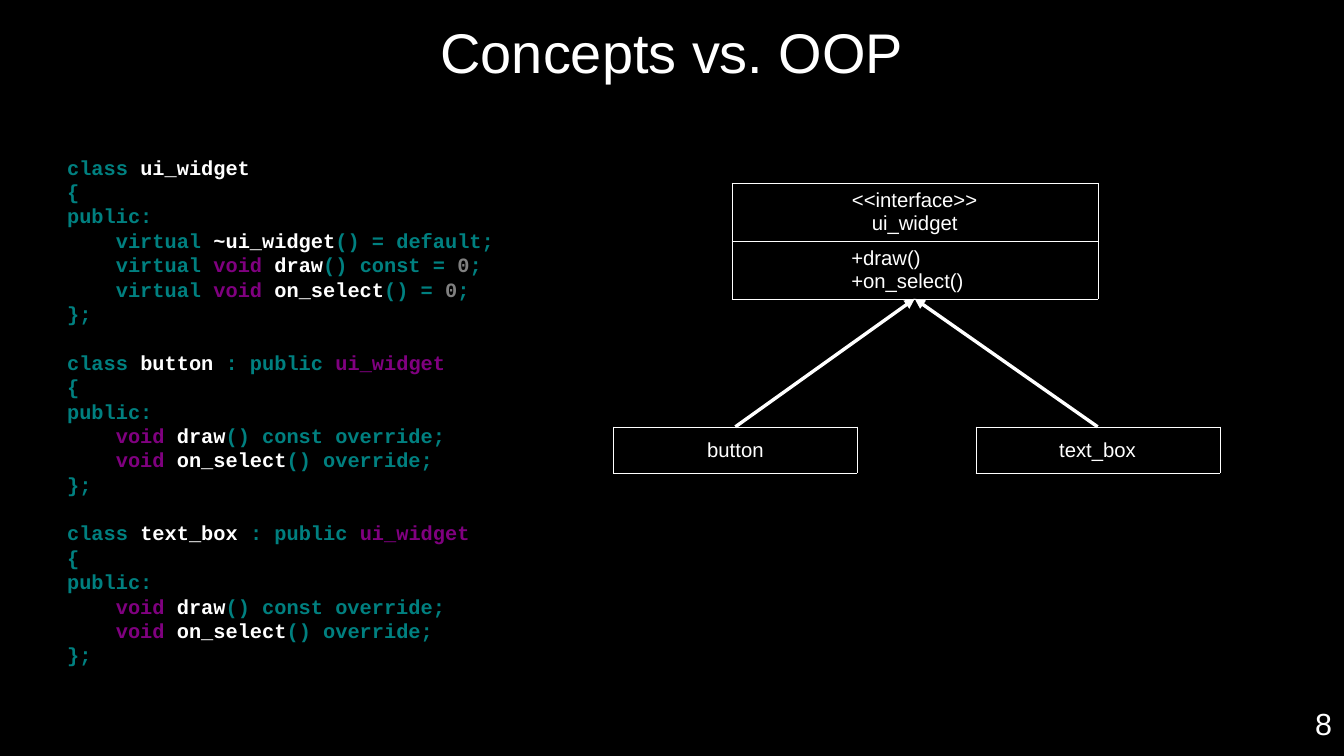
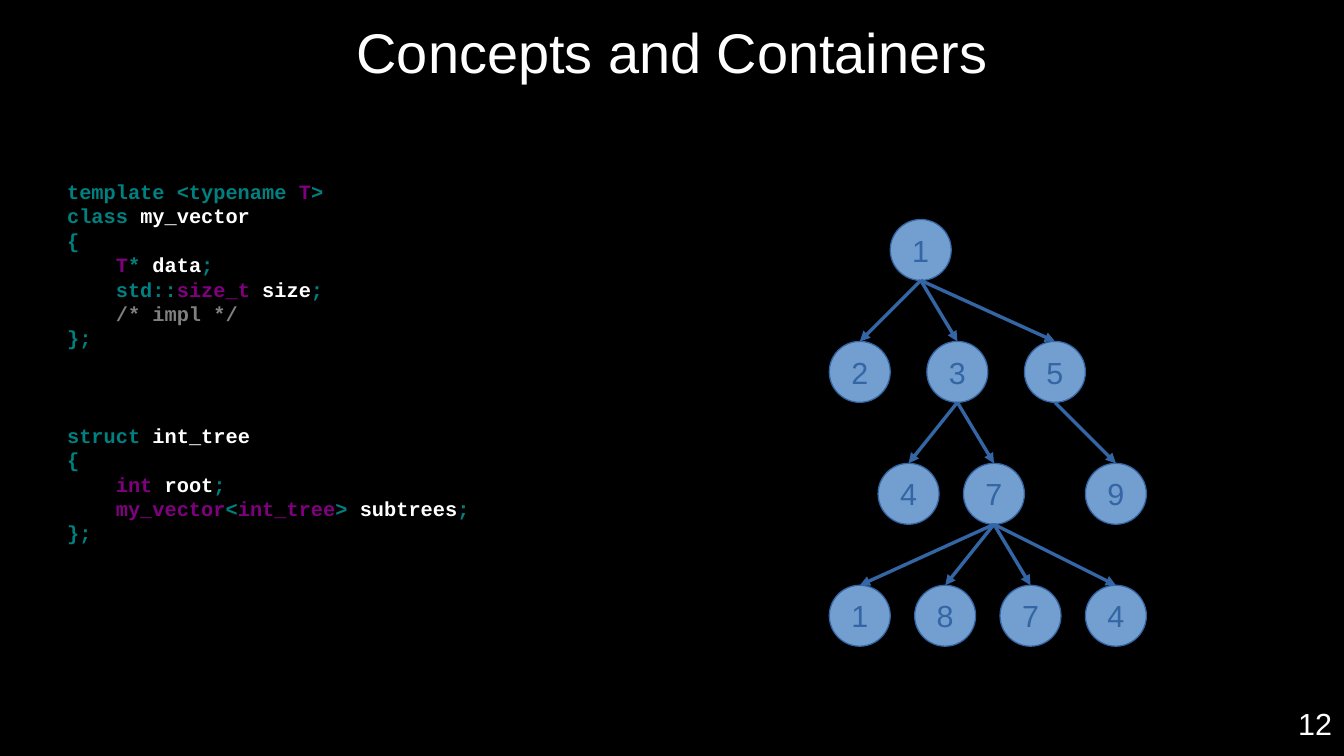
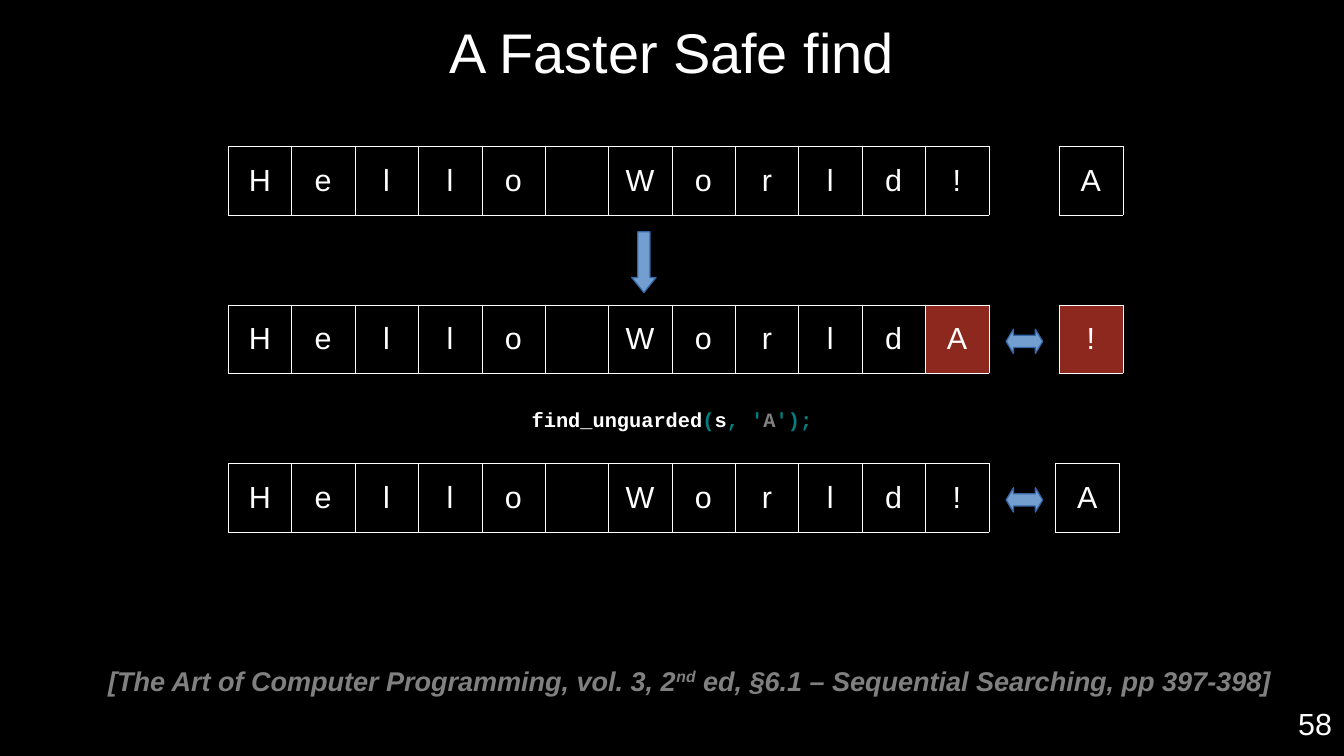
from pptx import Presentation
from pptx.dml.color import RGBColor
from pptx.enum.shapes import MSO_CONNECTOR, MSO_SHAPE
from pptx.enum.text import MSO_ANCHOR, MSO_AUTO_SIZE, PP_ALIGN
from pptx.oxml import parse_xml
from pptx.oxml.ns import nsdecls
from pptx.oxml.xmlchemy import OxmlElement
from pptx.util import Inches, Pt

COLORS = {
    "black": "000000", "white": "FFFFFF", "keyword": "008080", "type": "800080",
    "grey": "808080", "red": "8D281E", "blue": "729FCF", "navy": "3465A4",
}
GRID = Inches(0.1)
COLUMNS, ROWS = 110.2, 62
SANS = {"name": "Arial", "size": Pt(18)}
SMALL = {**SANS, "size": Pt(12)}
HEADING = {**SANS, "size": Pt(33)}
CITATION = {**SANS, "size": Pt(16), "bold": True, "italic": True}
MONO = {"name": "Courier New", "size": Pt(12), "bold": True}
CODE_LINE = 14.4
# Each mark switches its colour on and off inside a line of code.
CODE_MARKS = {"@": "white", "$": "type", "#": "grey"}

WIDGET_CODE = [
    """class @ui_widget@
{
public:
    virtual @~ui_widget@() = default;
    virtual $void $@draw@() const = #0#;
    virtual $void $@on_select@() = #0#;
};"""
] + [
    f"""class @{name}@ : public $ui_widget$
{{
public:
    $void $@draw@() const override;
    $void $@on_select@() override;
}};""" for name in ("button", "text_box")
]
CONTAINER_CODE = [
    """template <typename $T$>
class @my_vector@
{
    $T$* @data@;
    std::$size_t $@size@;
    #/* impl */#
};""",
    """struct @int_tree@
{
    $int $@root@;
    $my_vector$<$int_tree$> @subtrees@;
};""",
]
# Each node: label, column, children.
TREE = ("1", 73, [
    ("2", 68, []),
    ("3", 76, [
        ("4", 72, []),
        ("7", 79, [("1", 68, []), ("8", 75, []), ("7", 82, []), ("4", 89, [])]),
    ]),
    ("5", 84, [("9", 89, [])]),
])
NODE_SIZE, LEVEL_STEP, TREE_TOP = 5, 10, 18


def rgb(color):
    return RGBColor.from_string(COLORS[color])


def cells(*counts):
    """Turn counts of grid cells into lengths."""
    return [round(count * GRID) for count in counts]


def add_span(para, text, color, style):
    span = para.add_run()
    span.text = text
    for key, value in style.items():
        setattr(span.font, key, value)
    span.font.color.rgb = rgb(color)
    return span


def add_code_line(para, line):
    color, text = "keyword", ""
    for char in line:
        if char not in CODE_MARKS:
            text += char
            continue
        if text:
            add_span(para, text, color, MONO)
        color = "keyword" if color == CODE_MARKS[char] else CODE_MARKS[char]
        text = ""
    if text:
        add_span(para, text, color, MONO)


def set_frame(frame, anchor=MSO_ANCHOR.TOP, margin_x=0.1, margin_y=0.05):
    settings = {
        "word_wrap": True, "auto_size": MSO_AUTO_SIZE.NONE, "vertical_anchor": anchor,
        "margin_left": Inches(margin_x), "margin_right": Inches(margin_x),
        "margin_top": Inches(margin_y), "margin_bottom": Inches(margin_y),
    }
    for key, value in settings.items():
        setattr(frame, key, value)


def move(shape, *place):
    for key, value in zip(("left", "top", "width", "height"), cells(*place)):
        setattr(shape, key, value)


def add_text_box(page, place, align, **frame_settings):
    """Add a text box and return its first paragraph."""
    frame = page.shapes.add_textbox(*cells(*place)).text_frame
    set_frame(frame, **frame_settings)
    para = frame.paragraphs[0]
    para.alignment = align
    return para


def add_page(deck, layout, title, number):
    page = deck.slides.add_slide(deck.slide_layouts[layout])
    frame = page.shapes.title.text_frame
    set_frame(frame, MSO_ANCHOR.MIDDLE, 0, 0)
    frame.paragraphs[0].alignment = PP_ALIGN.CENTER
    add_span(frame.paragraphs[0], title, "white", HEADING)
    para = add_text_box(page, (68.3, 57.3, 41.9, 4.7), PP_ALIGN.RIGHT)
    add_span(para, str(number), "white", SANS)
    return page


def fill_code(page, top, blocks, gap_lines):
    """Write blocks of code in the body, with a gap between blocks."""
    body = page.placeholders[1]
    move(body, 5.5, top, 99.2, 55.3 - top)
    frame = body.text_frame
    set_frame(frame, margin_x=0, margin_y=0)
    lines = [(line, block and not row)
             for block, code in enumerate(blocks)
             for row, line in enumerate(code.split("\n"))]
    for index, (line, opens_block) in enumerate(lines):
        para = frame.add_paragraph() if index else frame.paragraphs[0]
        properties = para._p.get_or_add_pPr()
        properties.set("marL", "0")
        properties.set("indent", "0")
        properties.append(OxmlElement("a:buNone"))
        para.line_spacing = Pt(CODE_LINE)
        para.space_before = Pt(CODE_LINE * gap_lines if opens_block else 0)
        add_code_line(para, line)


def style_cell(cell, text, style, fill):
    cell.fill.solid()
    cell.fill.fore_color.rgb = rgb(fill)
    cell.vertical_anchor = MSO_ANCHOR.MIDDLE
    for index, side in enumerate("LRTB"):
        cell._tc.get_or_add_tcPr().insert(index, parse_xml(
            f'<a:ln{side} {nsdecls("a")} w="762"><a:solidFill>'
            f'<a:srgbClr val="{COLORS["white"]}"/></a:solidFill></a:ln{side}>'))
    for index, line in enumerate(text.split("\n")):
        frame = cell.text_frame
        para = frame.add_paragraph() if index else frame.paragraphs[0]
        para.alignment = PP_ALIGN.CENTER
        if line.strip():
            add_span(para, line, "white", style)


def add_boxes(page, place, rows, style, last_fill="black"):
    """Add a table of equal bordered cells; last_fill colours the last one."""
    holder = page.shapes.add_table(len(rows), len(rows[0]), *cells(*place))
    table = holder.table
    table.first_row = table.horz_banding = False
    texts = [text for row in rows for text in row]
    for index, (cell, text) in enumerate(zip(table.iter_cells(), texts)):
        fill = last_fill if index == len(texts) - 1 else "black"
        style_cell(cell, text, style, fill)
    return holder


def add_arrow(page, color, start=(0, 0), end=(0, 0)):
    arrow = page.shapes.add_connector(MSO_CONNECTOR.STRAIGHT, *start, *end)
    arrow.line.color.rgb = rgb(color)
    arrow.line.width = 0
    tip = OxmlElement("a:tailEnd")
    tip.set("type", "triangle")
    arrow.line._get_or_add_ln().append(tip)
    arrow._element.spPr.append(OxmlElement("a:effectLst"))
    return arrow


def add_blue_shape(page, kind, place, adjustments=()):
    shape = page.shapes.add_shape(kind, *cells(*place))
    shape.shadow.inherit = False
    shape.fill.solid()
    shape.fill.fore_color.rgb = rgb("blue")
    shape.line.color.rgb = rgb("navy")
    shape.line.width = 0
    for index, value in enumerate(adjustments):
        shape.adjustments[index] = value
    return shape


def add_tree(page, node, depth=0):
    """Draw a node, then its subtrees with arrows to them; return the node."""
    label, column, children = node
    circle = add_blue_shape(page, MSO_SHAPE.OVAL, (
        column, TREE_TOP + depth * LEVEL_STEP, NODE_SIZE, NODE_SIZE))
    set_frame(circle.text_frame, MSO_ANCHOR.MIDDLE)
    circle.text_frame.word_wrap = False
    para = circle.text_frame.paragraphs[0]
    para.alignment = PP_ALIGN.CENTER
    add_span(para, label, "navy", SANS)
    bottom = (circle.left + circle.width // 2, circle.top + circle.height)
    for child in children:
        target = add_tree(page, child, depth + 1)
        add_arrow(page, "navy", bottom, bottom).end_connect(target, 0)
    return circle


def build_oop(deck):
    page = add_page(deck, 1, "Concepts vs. OOP", 8)
    fill_code(page, 12.7, WIDGET_CODE, 1)
    interface = add_boxes(page, (60, 15, 30, 9.5), [
        ["<<interface>>\nui_widget"], ["+draw()\n+on_select()"]], SMALL)
    methods = interface.table.cell(1, 0)
    methods.margin_left = Inches(0.98)
    for para in methods.text_frame.paragraphs:
        para.alignment = PP_ALIGN.LEFT
    for name, left in (("button", 50.3), ("text_box", 80)):
        widget = add_boxes(page, (left, 35, 20, 3.8), [[name]], SMALL)
        arrow = add_arrow(page, "white")
        arrow.begin_connect(widget, 0)
        arrow.end_connect(interface, 2)


def build_containers(deck):
    page = add_page(deck, 1, "Concepts and Containers", 12)
    fill_code(page, 14.7, CONTAINER_CODE, 3)
    add_tree(page, TREE)


def build_find(deck):
    page = add_page(deck, 5, "A Faster Safe find", 58)
    steps = [("Hello World!", "A", 86.8, "black"),
             ("Hello WorldA", "!", 86.8, "red"),
             ("Hello World!", "A", 86.5, "black")]
    for index, (word, spare, spare_left, fill) in enumerate(steps):
        top = 12 + 13 * index
        add_boxes(page, (18.7, top, 62.4, 5.6), [list(word)], SANS, fill)
        add_boxes(page, (spare_left, top, 5.3, 5.6), [[spare]], SANS, fill)
        if index:
            add_blue_shape(page, MSO_SHAPE.LEFT_RIGHT_ARROW,
                           (82.5, top + 2, 3, 2), (0.5, 0.3))
    add_blue_shape(page, MSO_SHAPE.DOWN_ARROW, (51.8, 19, 2, 5), (0.5, 0.62))
    call = add_text_box(page, (42.6, 32.9, 25, 2.9), PP_ALIGN.CENTER, margin_x=0)
    add_code_line(call, "@find_unguarded@(@s@, '#A#');")
    source = add_text_box(page, (5, 54, 100.2, 5.9), PP_ALIGN.RIGHT)
    for text, baseline in (
            ("[The Art of Computer Programming, vol. 3, 2", 0), ("nd", 33000),
            (" ed, §6.1 – Sequential Searching, pp 397-398]", 0)):
        span = add_span(source, text, "grey", CITATION)
        span._r.get_or_add_rPr().set("baseline", str(baseline))


def main():
    deck = Presentation()
    deck.slide_width, deck.slide_height = cells(COLUMNS, ROWS)
    master = deck.slide_master
    master.background.fill.solid()
    master.background.fill.fore_color.rgb = rgb("black")
    move(master.placeholders[0], 5.5, 0.3, 99.2, 7.8)
    build_oop(deck)
    build_containers(deck)
    build_find(deck)
    deck.save("out.pptx")


if __name__ == "__main__":
    main()
